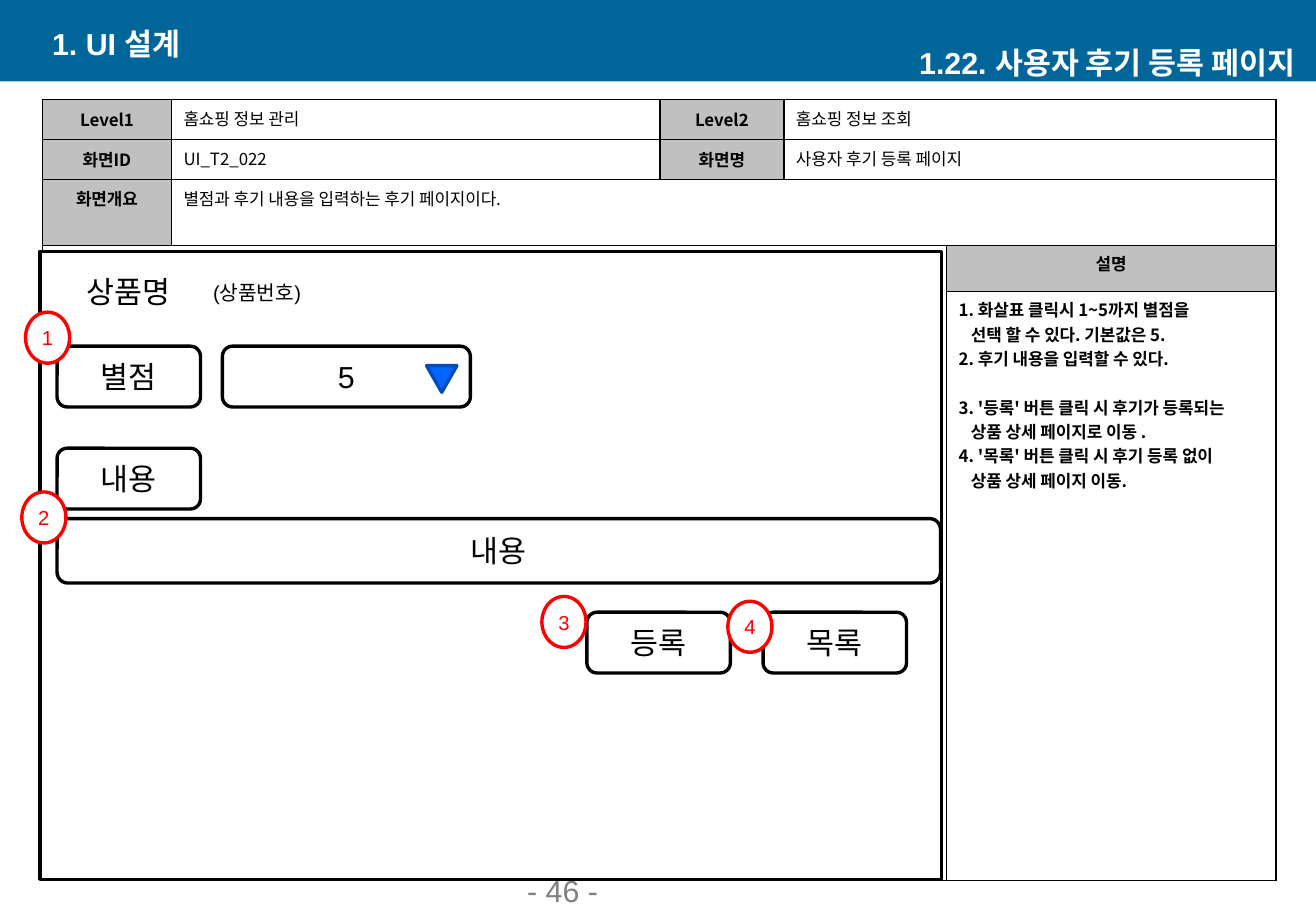
from lxml.etree import SubElement
from pptx import Presentation
from pptx.dml.color import RGBColor
from pptx.enum.shapes import MSO_SHAPE as Shape
from pptx.enum.text import MSO_ANCHOR as Anchor, PP_ALIGN as Align
from pptx.oxml.ns import qn
from pptx.util import Inches, Pt

WIDTH, HEIGHT = Inches(10.83), Inches(7.5)
BLACK, WHITE, GRAY, RED = "000000", "FFFFFF", "C0C0C0", "FF0000"
BUTTON = 10.9, 6.67
LEFT = 4.34
COLUMNS = 9.79, 37.12, 9.42, 12.37, 25.02
ROWS = 4.4, 4.4, 7.2, 5.07, 64.67
LABELS = {(0, 0): "Level1", (0, 2): "Level2", (1, 0): "화면ID",
          (1, 2): "화면명", (2, 0): "화면개요", (3, 4): "설명"}
VALUES = {(0, 1): "홈쇼핑 정보 관리", (0, 3): "홈쇼핑 정보 조회",
          (1, 1): "UI_T2_022", (1, 3): "사용자 후기 등록 페이지",
          (2, 1): "별점과 후기 내용을 입력하는 후기 페이지이다."}
MERGES = ((0, 3), (0, 4)), ((1, 3), (1, 4)), ((2, 1), (2, 4)), ((3, 0), (4, 3))
NOTES = ("1. 화살표 클릭시 1~5까지 별점을\v선택 할 수 있다. 기본값은 5.",
         "2. 후기 내용을 입력할 수 있다.",
         "3. '등록' 버튼 클릭 시 후기가 등록되는\v상품 상세 페이지로 이동 .",
         "4. '목록' 버튼 클릭 시 후기 등록 없이\v상품 상세 페이지 이동.")


def across(share):
    return int(WIDTH * share / 100)


def down(share):
    return int(HEIGHT * share / 100)


def place(x, y, w, h):
    return across(x), down(y), across(w), down(h)


def color(value):
    return RGBColor.from_string(value)


def style(p, size, ink, bold=False, align=Align.LEFT, name="Arial"):
    p.alignment = align
    p.font.name, p.font.size, p.font.bold = name, Pt(size), bold
    p.font.color.rgb = color(ink)


def add_text(s, box, text, ink=WHITE, bold=True, align=Align.LEFT, anchor=Anchor.MIDDLE):
    tf = s.shapes.add_textbox(*place(*box)).text_frame
    tf.word_wrap = True
    tf.vertical_anchor = anchor
    p = tf.paragraphs[0]
    p.text = text
    style(p, 18, ink, bold, align)


def add_box(s, kind, box, text="", fill=WHITE, line=BLACK, ink=BLACK, size=18):
    sp = s.shapes.add_shape(kind, *place(*box))
    sp.shadow.inherit = False
    sp.fill.solid()
    sp.fill.fore_color.rgb = color(fill)
    if line:
        sp.line.color.rgb = color(line)
        sp.line.width = Pt(2)
    else:
        sp.line.fill.background()
    if text:
        tf = sp.text_frame
        tf.margin_left = tf.margin_right = tf.margin_top = tf.margin_bottom = 0
        tf.vertical_anchor = Anchor.MIDDLE
        p = tf.paragraphs[0]
        p.text = text
        style(p, size, ink, align=Align.CENTER)
    return sp


def add_borders(cell):
    tcPr = cell._tc.get_or_add_tcPr()
    for side in ("lnL", "lnR", "lnT", "lnB"):
        ln = SubElement(tcPr, qn(f"a:{side}"), w=str(Pt(1)))
        SubElement(SubElement(ln, qn("a:solidFill")), qn("a:srgbClr"), val=BLACK)


def fill_cell(p, text, bold, align=Align.LEFT):
    p.text = text
    style(p, 10, BLACK, bold, align, "Noto Sans CJK KR")


def add_notes(tf):
    for i, note in enumerate(NOTES):
        p = tf.add_paragraph() if i else tf.paragraphs[0]
        pPr = p._p.get_or_add_pPr()
        pPr.set("marL", str(Inches(0.1)))
        pPr.set("indent", str(-Inches(0.1)))
        fill_cell(p, note, True)
    tf.paragraphs[2].space_before = Pt(14.5)


def add_spec_table(s):
    box = place(3.23, 10.93, sum(COLUMNS), sum(ROWS))
    table = s.shapes.add_table(len(ROWS), len(COLUMNS), *box).table
    table.first_row = table.horz_banding = False
    for column, share in zip(table.columns, COLUMNS):
        column.width = across(share)
    for row, share in zip(table.rows, ROWS):
        row.height = down(share)
    for cell in table.iter_cells():
        add_borders(cell)
        cell.fill.background()
        cell.text_frame.paragraphs[0].font.size = Pt(10)
    for first, last in MERGES:
        table.cell(*first).merge(table.cell(*last))
    for at, text in LABELS.items():
        cell = table.cell(*at)
        cell.fill.solid()
        cell.fill.fore_color.rgb = color(GRAY)
        cell.vertical_anchor = Anchor.MIDDLE if at[0] < 2 else Anchor.TOP
        fill_cell(cell.text_frame.paragraphs[0], text, True, Align.CENTER)
    for at, text in VALUES.items():
        fill_cell(table.cell(*at).text_frame.paragraphs[0], text, False)
    add_notes(table.cell(4, 4).text_frame)


def add_wireframe(s):
    add_box(s, Shape.RECTANGLE, (3.05, 27.6, 68.51, 68.93))
    for x, y, w, h, text in ((LEFT, 38, *BUTTON, "별점"),
                             (LEFT, 49.2, *BUTTON, "내용"),
                             (16.9, 38, 18.84, 6.67, "5"),
                             (LEFT, 56.93, 67.13, 7.07, "내용"),
                             (44.6, 67.2, *BUTTON, "등록"),
                             (57.99, 67.2, *BUTTON, "목록")):
        add_box(s, Shape.ROUNDED_RECTANGLE, (x, y, w, h), text)
    arrow = add_box(s, Shape.ISOSCELES_TRIANGLE, (32.41, 40.13, 2.31, 2.93),
                    fill="0066FF", line="004BBD")
    arrow.rotation = 180
    add_box(s, Shape.ROUNDED_RECTANGLE, (LEFT, 28.67, *BUTTON), "상품명", line=None)
    spots = (1.94, 34.27), (1.66, 54), (41.18, 65.47), (55.31, 66)
    for number, spot in enumerate(spots, 1):
        add_box(s, Shape.OVAL, (*spot, 3.35, 5.6), str(number), line=RED, ink=RED, size=12)
    add_box(s, Shape.RECTANGLE, (14.13, 30, 10.8, 4.13), "(상품번호)", line=None, size=12)


def main():
    prs = Presentation()
    prs.slide_width, prs.slide_height = WIDTH, HEIGHT
    s = prs.slides.add_slide(prs.slide_layouts[6])
    add_box(s, Shape.RECTANGLE, (0, 0, 100, 8.93), fill="006699", line=None)
    add_text(s, (39.15, 97.33, 20.87, 3.07), "- 46 -", "808080", False, anchor=Anchor.BOTTOM)
    add_text(s, (3.05, 2.53, 40.44, 4.4), "1. UI 설계")
    add_spec_table(s)
    add_wireframe(s)
    add_text(s, (58.9, 4.67, 40.44, 4.4), "1.22. 사용자 후기 등록 페이지", align=Align.RIGHT)
    prs.save("out.pptx")


if __name__ == "__main__":
    main()
